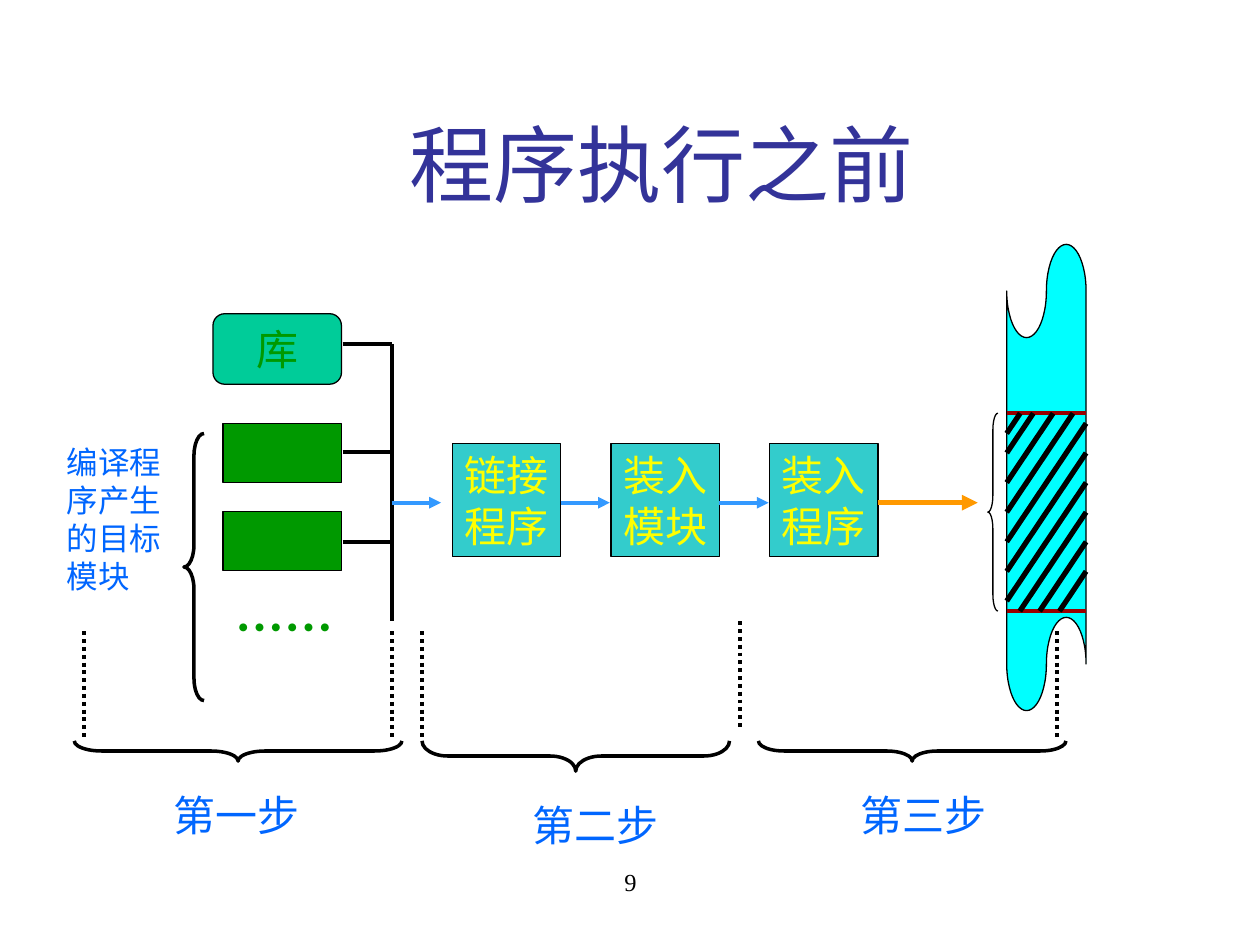
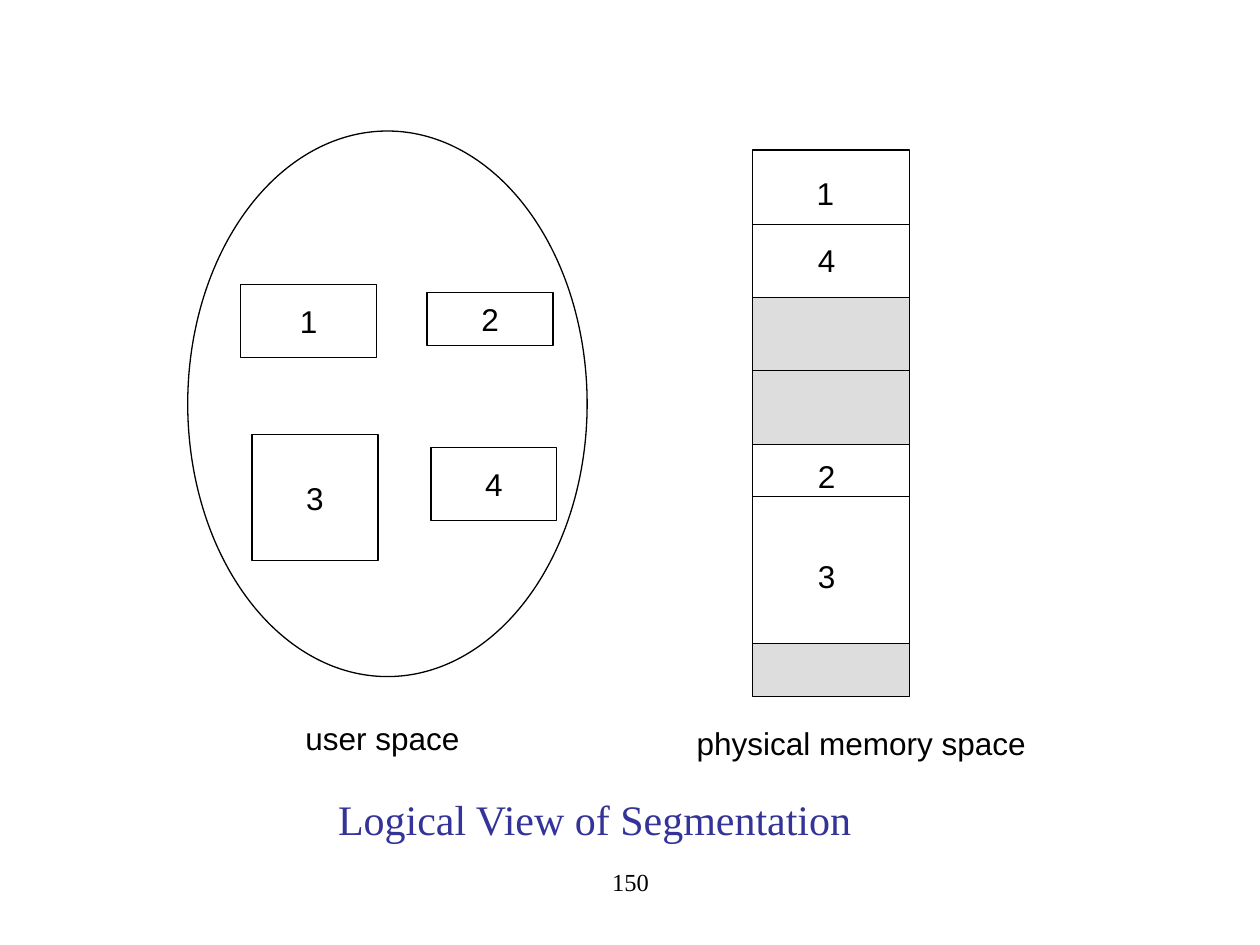
from lxml import etree
from pptx import Presentation
from pptx.dml.color import RGBColor
from pptx.enum.dml import MSO_LINE
from pptx.enum.shapes import MSO_CONNECTOR, MSO_SHAPE
from pptx.enum.text import MSO_ANCHOR, MSO_AUTO_SIZE, PP_ALIGN
from pptx.oxml.ns import qn
from pptx.util import Inches, Pt

STRAIGHT = MSO_CONNECTOR.STRAIGHT
DOTTED = MSO_LINE.ROUND_DOT
RECT, ROUNDED = MSO_SHAPE.RECTANGLE, MSO_SHAPE.ROUNDED_RECTANGLE
ELLIPSE, TAPE, BRACE = MSO_SHAPE.OVAL, MSO_SHAPE.WAVE, MSO_SHAPE.LEFT_BRACE
TAPE = MSO_SHAPE.FLOWCHART_PUNCHED_TAPE
LEFT, CENTER = PP_ALIGN.LEFT, PP_ALIGN.CENTER
TOP, MIDDLE = MSO_ANCHOR.TOP, MSO_ANCHOR.MIDDLE
NO_FIT = MSO_AUTO_SIZE.NONE

SERIF, SANS, CJK = "Times New Roman", "Arial", "Noto Sans CJK SC"
BLACK, WHITE, GREY = "000000", "FFFFFF", "DDDDDD"
TITLE_BLUE, STEP_BLUE, ARROW_BLUE = "333399", "0066FF", "3399FF"
GREEN, MINT, TEAL, CYAN = "009900", "00CC99", "33CCCC", "00FFFF"
YELLOW, ORANGE, DARK_RED = "FFFF00", "FF9900", "990000"


def rgb(color):
    return RGBColor.from_string(color)


def write(shape, text, size, color, font=SERIF, align=CENTER, anchor=MIDDLE,
          wrap=False, bold=False, leading=None):
    """Put text in a shape; leading is the line height as a multiple of size."""
    frame = shape.text_frame
    frame.text = text
    frame.word_wrap = wrap
    frame.auto_size = NO_FIT
    frame.vertical_anchor = anchor
    for paragraph in frame.paragraphs:
        paragraph.alignment = align
        if leading:
            paragraph.line_spacing = Pt(size * leading)
        for run in paragraph.runs:
            run.font.name = font
            run.font.size = Pt(size)
            run.font.bold = bold
            run.font.color.rgb = rgb(color)
            east_asian = etree.SubElement(run.font._element, qn("a:ea"))
            east_asian.set("typeface", CJK)


def add_label(slide, box, text, size, color, **style):
    label = slide.shapes.add_textbox(*map(Inches, box))
    write(label, text, size, color, **style)


def add_block(slide, box, fill=WHITE, kind=RECT, width=0.75):
    block = slide.shapes.add_shape(kind, *map(Inches, box))
    block.shadow.inherit = False
    if fill:
        block.fill.solid()
        block.fill.fore_color.rgb = rgb(fill)
    else:
        block.fill.background()
    block.line.color.rgb = rgb(BLACK)
    block.line.width = Pt(width)
    return block


def add_brace(slide, left, top, depth, length, width=2, pointing_down=False):
    """Draw a brace whose visible outline starts at left, top."""
    if pointing_down:
        shift = (length - depth) / 2
        left, top = left + shift, top - shift
    brace = add_block(slide, (left, top, depth, length), None, BRACE, width)
    brace.adjustments[0] = length / 12 / depth
    if pointing_down:
        brace.rotation = 270


def add_line(slide, start, end, color=BLACK, width=2.25, dash=None, arrow=False):
    line = slide.shapes.add_connector(STRAIGHT, *map(Inches, start + end))
    line.line.color.rgb = rgb(color)
    line.line.width = Pt(width)
    if dash:
        line.line.dash_style = dash
    if arrow:
        outline = line.line._get_or_add_ln()
        etree.SubElement(outline, qn("a:tailEnd")).set("type", "triangle")
    etree.SubElement(line._element.spPr, qn("a:effectLst"))


def add_titled_slide(deck, title, box, size, font, number):
    slide = deck.slides.add_slide(deck.slide_layouts[5])
    heading = slide.shapes.title
    heading.left, heading.top, heading.width, heading.height = map(Inches, box)
    write(heading, title, size, TITLE_BLUE, font=font, wrap=True)
    add_label(slide, (3.42, 6.83, 3.17, 0.5), number, 14, BLACK,
              anchor=TOP, wrap=True)
    return slide


def add_step_guide(slide, x, top=5.01):
    add_line(slide, (x, top), (x, top + 0.87), dash=DOTTED)


def add_object_modules(slide):
    library = add_block(slide, (1.69, 2.49, 1.02, 0.56), MINT, ROUNDED)
    write(library, "库", 24, GREEN, leading=1.2)
    for top in (3.36, 4.06):
        add_block(slide, (1.77, top, 0.94, 0.47), GREEN)
    add_label(slide, (1.77, 4.69, 0.97, 0.57), "……", 28, GREEN, font=CJK,
              align=LEFT, anchor=TOP, bold=True, leading=1.2)
    add_brace(slide, 1.46, 3.44, 0.16, 2.12)

    bus_x = 3.11
    for y in (2.73, 3.59, 4.3):
        add_line(slide, (2.72, y), (bus_x, y))
    add_line(slide, (bus_x, 2.73), (bus_x, 4.93))
    add_label(slide, (0.43, 3.47, 1.04, 1.3), "编译程序产生的目标模块", 18,
              STEP_BLUE, align=LEFT, anchor=TOP, wrap=True, leading=1.2)


def add_load_pipeline(slide):
    flow_y, pitch = 3.99, 1.26
    for i, stage in enumerate(("链接\n程序", "装入\n模块", "装入\n程序")):
        box = add_block(slide, (3.59 + i * pitch, 3.52, 0.86, 0.9), TEAL)
        write(box, stage, 24, YELLOW, leading=1.2)
    for x in (3.11, 4.45, 5.71):
        add_line(slide, (x, flow_y), (x + 0.39, flow_y), ARROW_BLUE, arrow=True)
    add_line(slide, (6.97, flow_y), (7.76, flow_y), ORANGE, 3, arrow=True)


def add_memory_tape(slide):
    left, right, top, bottom = 7.99, 8.62, 3.28, 4.85
    add_block(slide, (left, 1.94, right - left, 3.7), CYAN, TAPE)
    for y in (top, bottom):
        add_line(slide, (left, y), (right, y), DARK_RED)

    # Hatch lines fall to the left and are clipped to the loaded region.
    drop = 0.94
    slope = drop / (right - left)
    for right_y in [2.5] + [3.36 + 0.235 * k for k in range(-3, 6)]:
        upper, lower = max(right_y, top), min(right_y + drop, bottom)
        add_line(slide, (right - (upper - right_y) / slope, upper),
                 (right - (lower - right_y) / slope, lower), width=3)
    add_brace(slide, 7.84, top, 0.08, bottom - top, width=0.75)


def build_before_execution(deck):
    slide = add_titled_slide(deck, "程序执行之前", (1, 0.67, 8.5, 1.25),
                             48, CJK, "9")
    add_step_guide(slide, 8.39)
    add_object_modules(slide)
    add_load_pipeline(slide)
    add_memory_tape(slide)
    for x in (0.67, 3.11, 3.35):
        add_step_guide(slide, x)
    add_step_guide(slide, 5.87, top=4.93)

    steps = (
        ("第一步", 1.28, 6.22, 0.59, 0.16, 2.6),
        ("第二步", 4.13, 6.3, 3.35, 0.24, 2.44),
        ("第三步", 6.73, 6.22, 6.02, 0.16, 2.44),
    )
    for step, label_left, label_top, brace_left, depth, length in steps:
        add_brace(slide, brace_left, 5.88, depth, length, pointing_down=True)
        add_label(slide, (label_left, label_top, 1.2, 0.5), step, 24, STEP_BLUE,
                  align=LEFT, anchor=TOP, leading=1.2)


def build_segmentation(deck):
    slide = add_titled_slide(deck, "Logical View of Segmentation",
                             (0.47, 6.12, 8.5, 0.76), 24, SERIF, "150")
    add_block(slide, (1.49, 1.04, 3.17, 4.33), kind=ELLIPSE)
    segments = (
        ("1", (1.91, 2.26, 1.08, 0.58)),
        ("3", (2, 3.45, 1, 1)),
        ("2", (3.39, 2.32, 1, 0.42)),
        ("4", (3.42, 3.55, 1, 0.58)),
    )
    for name, box in segments:
        write(add_block(slide, box), name, 18, BLACK, font=SANS)

    memory_left, memory_width = 5.97, 1.25
    regions = ((1.19, 1.17, WHITE), (2.36, 1.17, GREY),
               (3.53, 1.58, WHITE), (5.11, 0.42, GREY))
    for top, height, fill in regions:
        add_block(slide, (memory_left, top, memory_width, height), fill)
    for y in (1.78, 2.94, 3.94):
        add_line(slide, (memory_left, y), (memory_left + memory_width, y),
                 width=0.75)

    captions = (
        ("1", (6.38, 1.33, 0.34, 0.4)),
        ("4", (6.39, 1.86, 0.34, 0.4)),
        ("2", (6.39, 3.58, 0.34, 0.4)),
        ("3", (6.39, 4.37, 0.34, 0.4)),
        ("user space", (2.29, 5.66, 1.49, 0.4)),
        ("physical memory space", (5.43, 5.7, 2.81, 0.4)),
    )
    for caption, box in captions:
        add_label(slide, box, caption, 18, BLACK, font=SANS)


def main():
    deck = Presentation()
    deck.slide_width, deck.slide_height = Inches(10), Inches(7.5)
    build_before_execution(deck)
    build_segmentation(deck)
    deck.save("out.pptx")


if __name__ == "__main__":
    main()
